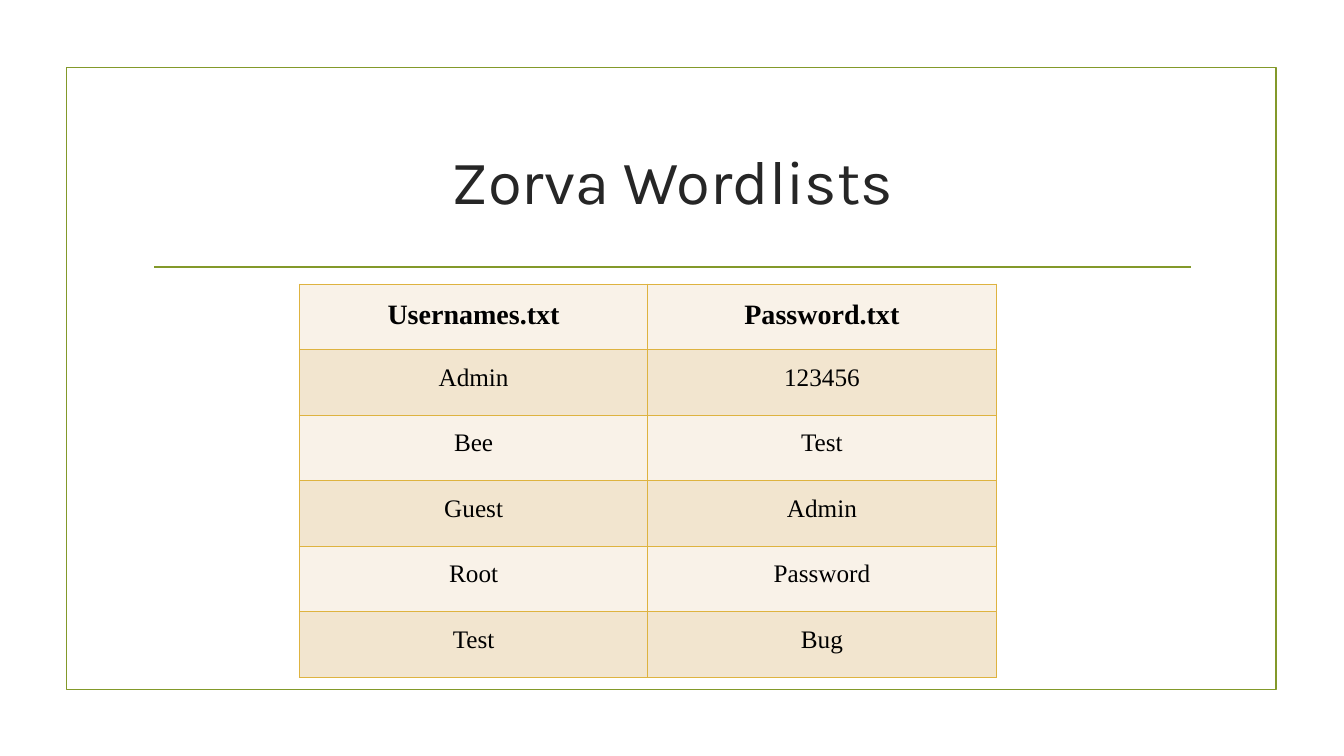
"""Build the Zorva wordlists slide."""
from dataclasses import dataclass

from lxml import etree
from pptx import Presentation
from pptx.dml.color import RGBColor
from pptx.enum import shapes, text
from pptx.oxml import ns
from pptx.slide import Slide
from pptx.table import _Cell
from pptx.util import Inches, Pt

COLORS = {
    "olive": "83992A",
    "title": "262626",
    "text": "000000",
    "gold": "DEB340",
    "light": "F9F2E8",
    "dark": "F2E5CF",
}


@dataclass(frozen=True)
class WordRow:
    username: str
    password: str
    size: int = 18
    bold: bool = False


ROWS = [
    WordRow("Usernames.txt", "Password.txt", size=20, bold=True),
    WordRow("Admin", "123456"),
    WordRow("Bee", "Test"),
    WordRow("Guest", "Admin"),
    WordRow("Root", "Password"),
    WordRow("Test", "Bug"),
]


def rgb(name: str) -> RGBColor:
    return RGBColor.from_string(COLORS[name])


def add_frame(slide: Slide) -> None:
    sp = slide.shapes.add_shape(
        shapes.MSO_SHAPE.RECTANGLE, Inches(0.66), Inches(0.67), Inches(12), Inches(6.17)
    )
    sp.shadow.inherit = False
    sp.fill.background()
    sp.line.color.rgb = rgb("olive")
    sp.line.width = Pt(1.25)


def add_rule(slide: Slide) -> None:
    rule = slide.shapes.add_connector(
        shapes.MSO_CONNECTOR.STRAIGHT, Inches(1.53), Inches(2.65), Inches(11.81), Inches(2.65)
    )
    rule.line.color.rgb = rgb("olive")
    rule.line.width = Pt(1.25)
    etree.SubElement(rule._element.spPr, ns.qn("a:effectLst"))


def set_title(slide: Slide, title: str) -> None:
    sp = slide.shapes.title
    sp.left, sp.top = Inches(1.42), Inches(1.07)
    sp.width, sp.height = Inches(10.5), Inches(1.43)
    tf = sp.text_frame
    tf.text = title
    tf.vertical_anchor = text.MSO_ANCHOR.MIDDLE
    p = tf.paragraphs[0]
    p.alignment = text.PP_ALIGN.CENTER
    p.font.name = "Karla"
    p.font.size = Pt(44)
    p.font.color.rgb = rgb("title")


def set_borders(cell: _Cell) -> None:
    tc_pr = cell._tc.get_or_add_tcPr()
    for side in ("lnL", "lnR", "lnT", "lnB"):
        ln = etree.SubElement(tc_pr, ns.qn(f"a:{side}"), w=str(Pt(1)))
        fill = etree.SubElement(ln, ns.qn("a:solidFill"))
        etree.SubElement(fill, ns.qn("a:srgbClr"), val=COLORS["gold"])


def fill_cell(cell: _Cell, word: str, row: WordRow, fill: str) -> None:
    set_borders(cell)
    cell.fill.solid()
    cell.fill.fore_color.rgb = rgb(fill)
    cell.margin_left = cell.margin_right = Inches(0.03)
    cell.margin_top = cell.margin_bottom = 0
    cell.text = word
    p = cell.text_frame.paragraphs[0]
    p.alignment = text.PP_ALIGN.CENTER
    p.line_spacing = 1.5
    p.font.name = "Times New Roman"
    p.font.size = Pt(row.size)
    p.font.bold = row.bold
    p.font.color.rgb = rgb("text")


def add_wordlists(slide: Slide, rows: list[WordRow]) -> None:
    table = slide.shapes.add_table(
        len(rows), 2, Inches(2.97), Inches(2.82), Inches(6.91), Inches(0.65 * len(rows))
    ).table
    for i, row in enumerate(rows):
        fill = "dark" if i % 2 else "light"
        for j, word in enumerate((row.username, row.password)):
            fill_cell(table.cell(i, j), word, row, fill)


def main() -> None:
    prs = Presentation()
    prs.slide_width, prs.slide_height = Inches(13.33), Inches(7.5)
    slide = prs.slides.add_slide(prs.slide_layouts[5])
    add_frame(slide)
    add_rule(slide)
    set_title(slide, "Zorva Wordlists")
    add_wordlists(slide, ROWS)
    prs.save("out.pptx")


if __name__ == "__main__":
    main()
